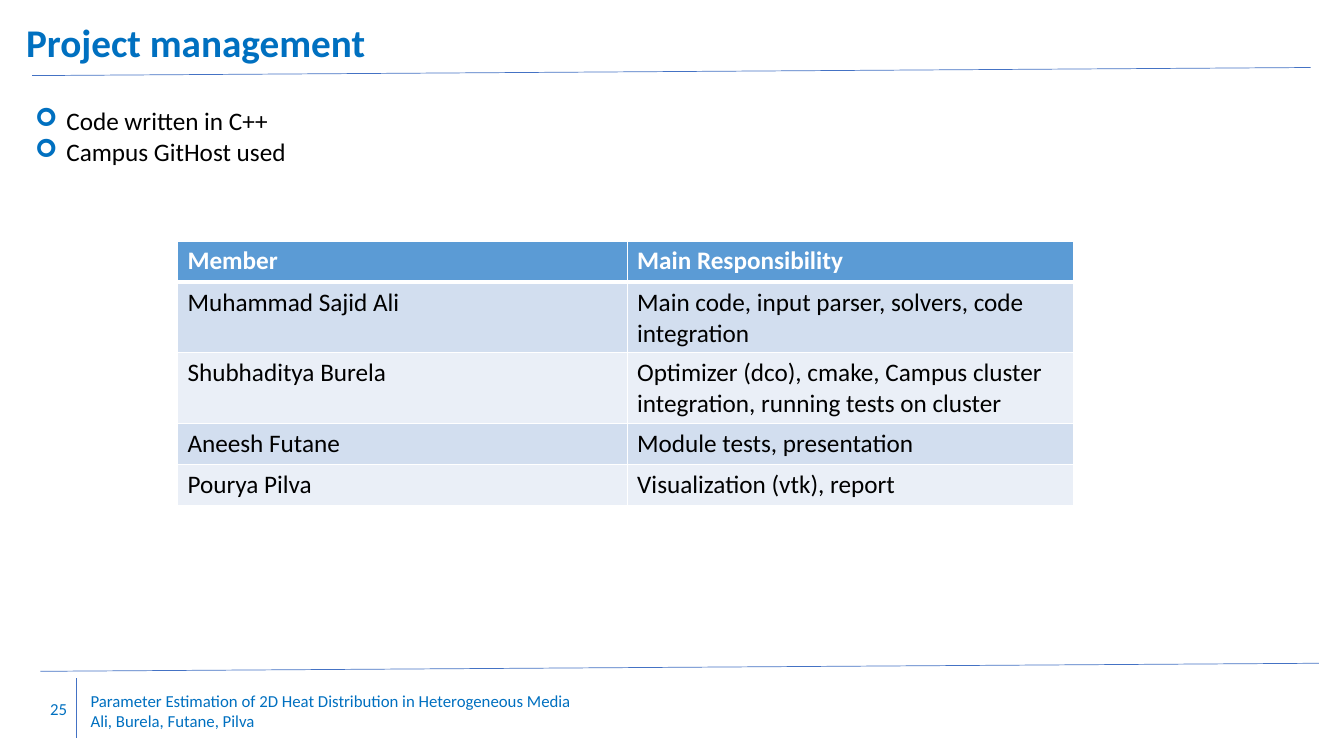
"""Build the project management slide with its team table."""
from lxml import etree
from pptx import Presentation
from pptx.dml.color import RGBColor
from pptx.enum.shapes import MSO_CONNECTOR
from pptx.enum.text import MSO_ANCHOR, MSO_AUTO_SIZE
from pptx.oxml.ns import qn
from pptx.util import Pt

PX = 9144
STRAIGHT = MSO_CONNECTOR.STRAIGHT
TOP, MIDDLE = MSO_ANCHOR.TOP, MSO_ANCHOR.MIDDLE
GROW, FIXED = MSO_AUTO_SIZE.SHAPE_TO_FIT_TEXT, MSO_AUTO_SIZE.NONE
BLUE = RGBColor(0x00, 0x70, 0xC0)
RULE = RGBColor(0x44, 0x72, 0xC4)
HEAD = RGBColor(0x5B, 0x9B, 0xD5)
BANDS = [RGBColor(0xEA, 0xEF, 0xF7), RGBColor(0xD2, 0xDE, 0xEF)]
WHITE = RGBColor(0xFF, 0xFF, 0xFF)
BLACK = RGBColor(0x00, 0x00, 0x00)


def write(frame, lines, size, color, bold=False):
    for i, line in enumerate(lines):
        para = frame.paragraphs[0] if i == 0 else frame.add_paragraph()
        para.text = line
        for run in para.runs:
            look = {"name": "Calibri", "size": Pt(size), "bold": bold}
            for key, value in look.items():
                setattr(run.font, key, value)
            run.font.color.rgb = color


def edge(props, side, width):
    line = etree.SubElement(props, qn(f"a:ln{side}"), w=str(Pt(width)))
    fill = etree.SubElement(line, qn("a:solidFill"))
    etree.SubElement(fill, qn("a:srgbClr"), val=str(WHITE))


deck = Presentation()
deck.slide_width, deck.slide_height = 1333 * PX, 750 * PX
slide = deck.slides.add_slide(deck.slide_layouts[6])
shapes = slide.shapes

for ends in [(32, 75, 1300, 67), (40, 666, 1308, 658), (76, 673, 76, 732)]:
    rule = shapes.add_connector(STRAIGHT, *[n * PX for n in ends])
    rule.line.color.rgb = RULE
    rule.line.width = Pt(0.5)
    etree.SubElement(rule._element.spPr, qn("a:effectLst"))

points = ["Code written in C++", "Campus GitHost used"]
footer = ("Parameter Estimation of 2D Heat Distribution in Heterogeneous Media"
          "\vAli, Burela, Futane, Pilva")
texts = [
    ((16, 13, 939, 57), ["Project management"], 28, BLUE, True, TOP, GROW),
    ((80, 685, 558, 40), [footer], 12, BLUE, False, MIDDLE, FIXED),
    ((40, 683, 40, 40), ["25"], 12, BLUE, False, MIDDLE, FIXED),
    ((25, 100, 1268, 71), points, 18, BLACK, False, TOP, GROW),
]
for place, lines, size, color, bold, anchor, fit in texts:
    box = shapes.add_textbox(*[n * PX for n in place])
    frame = box.text_frame
    frame.word_wrap = True
    frame.vertical_anchor = anchor
    frame.auto_size = fit
    write(frame, lines, size, color, bold)
    if lines is points:
        for para in frame.paragraphs:
            props = para._p.get_or_add_pPr()
            props.set("marL", str(31 * PX))
            props.set("indent", str(-31 * PX))
            tint = etree.SubElement(props, qn("a:buClr"))
            etree.SubElement(tint, qn("a:srgbClr"), val=str(BLUE))
            etree.SubElement(props, qn("a:buFont"), typeface="Wingdings")
            etree.SubElement(props, qn("a:buChar"), char="➢")

team = [
    ("Member", "Main Responsibility"),
    ("Muhammad Sajid Ali", "Main code, input parser, solvers, code integration"),
    ("Shubhaditya Burela",
     "Optimizer (dco), cmake, Campus cluster integration, running tests on cluster"),
    ("Aneesh Futane", "Module tests, presentation"),
    ("Pourya Pilva", "Visualization (vtk), report"),
]
heights = [41, 70, 70, 41, 41]
widths = [446, 443]
place = (176, 239, sum(widths), sum(heights))
table = shapes.add_table(len(team), 2, *[n * PX for n in place]).table
for col, width in zip(table.columns, widths):
    col.width = width * PX
for r, (row, height) in enumerate(zip(team, heights)):
    table.rows[r].height = height * PX
    for c, words in enumerate(row):
        cell = table.cell(r, c)
        props = cell._tc.get_or_add_tcPr()
        for side in "LRTB":
            thick = (r, side) in [(0, "B"), (1, "T")]
            edge(props, side, 3 if thick else 1)
        cell.fill.solid()
        cell.fill.fore_color.rgb = BANDS[r % 2] if r else HEAD
        write(cell.text_frame, [words], 18, BLACK if r else WHITE, r == 0)

deck.save("out.pptx")
